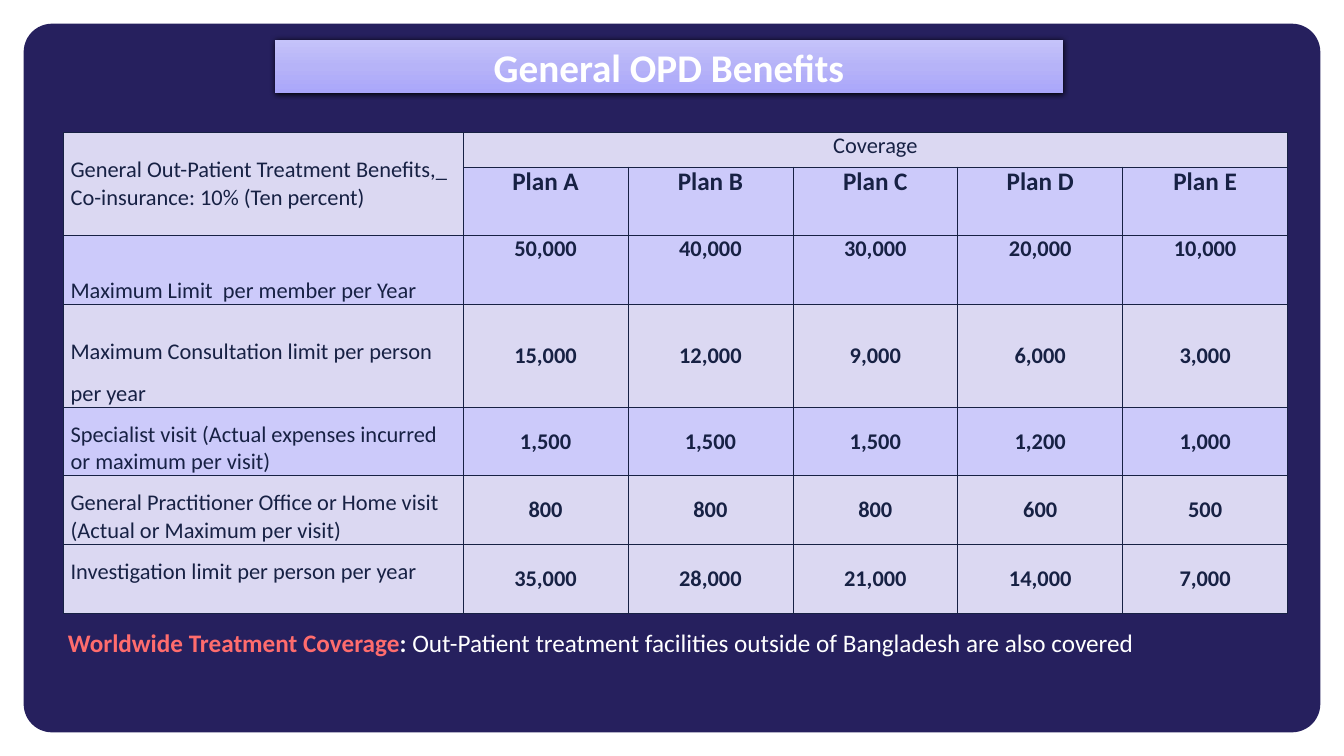
from copy import deepcopy
from lxml import etree
from pptx import Presentation
from pptx.dml.color import RGBColor
from pptx.enum.shapes import MSO_SHAPE
from pptx.enum.text import MSO_ANCHOR, MSO_AUTO_SIZE, PP_ALIGN
from pptx.oxml import parse_xml
from pptx.oxml.ns import nsdecls, qn
from pptx.util import Inches, Pt

NAVY, INK, WHITE, CORAL = "26205E", "172144", "FFFFFF", "FF6C6D"
PALE, LILAC = "DBD8F2", "CCCAFA"
TOP, MID, LOW = MSO_ANCHOR.TOP, MSO_ANCHOR.MIDDLE, MSO_ANCHOR.BOTTOM

PLANS = [f"Plan {name}" for name in "ABCDE"]
# label, amounts, fill, anchor of the amounts, format of the label
LIMITS = [
    ("Maximum Limit  per member per Year",
     "50,000 40,000 30,000 20,000 10,000", LILAC, TOP, {}),
    ("Maximum Consultation limit per person per year",
     "15,000 12,000 9,000 6,000 3,000", PALE, MID, {"line_spacing": 1.5}),
    ("Specialist visit (Actual expenses incurred or maximum per visit)",
     "1,500 1,500 1,500 1,200 1,000", LILAC, MID, {}),
    ("General Practitioner Office or Home visit (Actual or Maximum per visit)",
     "800 800 800 600 500", PALE, MID, {}),
    ("Investigation limit per person per year",
     "35,000 28,000 21,000 14,000 7,000", PALE, MID, {}),
]


def color(code):
    return RGBColor.from_string(code)


def assign(target, values):
    for name, value in values.items():
        setattr(target, name, value)


class Deck:
    """Holds the style and the current slide; lengths are percent of the slide."""

    font = "Calibri"

    def __init__(self, width, height):
        self.show = Presentation()
        self.show.slide_width = Inches(width)
        self.show.slide_height = Inches(height)
        self.slide = self.show.slides.add_slide(self.show.slide_layouts[6])

    def wide(self, share):
        return int(self.show.slide_width * share / 100)

    def high(self, share):
        return int(self.show.slide_height * share / 100)

    def box(self, x, y, w, h):
        return self.wide(x), self.high(y), self.wide(w), self.high(h)

    def label(self, frame, runs, **form):
        """Fill the first paragraph with (text, size, colour, bold) runs."""
        para = frame.paragraphs[0]
        assign(para, form)
        for text, size, shade, bold in runs:
            run = para.add_run()
            run.text = text
            assign(run.font, {"name": self.font, "size": Pt(size), "bold": bold})
            run.font.color.rgb = color(shade)

    def panel(self, kind, area, fill=None):
        shape = self.slide.shapes.add_shape(kind, *self.box(*area))
        shape.shadow.inherit = False
        shape.line.fill.background()
        if fill:
            shape.fill.solid()
            shape.fill.fore_color.rgb = color(fill)
        return shape

    def banner(self, area, text, shades):
        shape = self.panel(MSO_SHAPE.RECTANGLE, area)
        shape.fill.gradient()
        shape.fill.gradient_angle = 270
        props = shape._element.spPr
        stops = props.find(".//" + qn("a:gsLst"))
        stops.append(deepcopy(stops[0]))
        for i, (stop, shade) in enumerate(zip(shape.fill.gradient_stops, shades)):
            stop.position = i / (len(shades) - 1)
            stop.color.rgb = color(shade)
        props.find(qn("a:effectLst")).append(parse_xml(
            f'<a:outerShdw {nsdecls("a")} blurRad="{Pt(8.5)}" dist="{Pt(1)}" '
            'dir="5400000" rotWithShape="0"><a:srgbClr val="000000"/></a:outerShdw>'))
        shape.text_frame.vertical_anchor = LOW
        self.label(shape.text_frame, [(text, 56, WHITE, True)],
                   alignment=PP_ALIGN.CENTER, line_spacing=0.9)

    def note(self, area, runs):
        frame = self.slide.shapes.add_textbox(*self.box(*area)).text_frame
        assign(frame, {"word_wrap": True, "auto_size": MSO_AUTO_SIZE.SHAPE_TO_FIT_TEXT})
        self.label(frame, runs, alignment=PP_ALIGN.JUSTIFY,
                   space_before=Pt(6), space_after=Pt(6))

    def grid(self, x, y, cols, rows):
        area = self.box(x, y, sum(cols), sum(rows))
        table = self.slide.shapes.add_table(len(rows), len(cols), *area).table
        for col, share in zip(table.columns, cols):
            col.width = self.wide(share)
        for row, share in zip(table.rows, rows):
            row.height = self.high(share)
        for cell in table.iter_cells():
            self.edge(cell)
        return table

    def edge(self, cell):
        props = cell._tc.get_or_add_tcPr()
        for side in ("lnL", "lnR", "lnT", "lnB"):
            line = etree.SubElement(props, qn(f"a:{side}"), w=str(Pt(1)))
            fill = etree.SubElement(line, qn("a:solidFill"))
            etree.SubElement(fill, qn("a:srgbClr"), val=INK)

    def cell(self, cell, text, fill, anchor, head=False, size=32, bold=False, **form):
        side = Inches(0.15 if head else 0.01)
        assign(cell, {"margin_left": side, "margin_right": side, "margin_top": 0,
                      "margin_bottom": 0, "vertical_anchor": anchor})
        cell.fill.solid()
        cell.fill.fore_color.rgb = color(fill)
        align = PP_ALIGN.LEFT if head else PP_ALIGN.CENTER
        self.label(cell.text_frame, [(text, size, INK, bold)], alignment=align, **form)


def main():
    deck = Deck(26.67, 15)
    back = deck.panel(MSO_SHAPE.ROUNDED_RECTANGLE, (1.76, 3.13, 96.48, 93.74), NAVY)
    back.adjustments[0] = 0.04

    unit = 4.54
    table = deck.grid(4.69, 17.53, [29.77] + [12.27] * 5,
                      [unit * n for n in (1, 2, 2, 3, 2, 2, 2)])
    table.cell(0, 0).merge(table.cell(1, 0))
    table.cell(0, 1).merge(table.cell(0, 5))
    deck.cell(table.cell(0, 0), "General Out-Patient Treatment Benefits,_ "
              "Co-insurance: 10% (Ten percent)", PALE, MID, head=True)
    deck.cell(table.cell(0, 1), "Coverage", PALE, TOP)
    for c, plan in enumerate(PLANS, 1):
        deck.cell(table.cell(1, c), plan, LILAC, TOP, size=36, bold=True)
    for r, (limit, sums, fill, anchor, form) in enumerate(LIMITS, 2):
        deck.cell(table.cell(r, 0), limit, fill, LOW, head=True, **form)
        for c, amount in enumerate(sums.split(), 1):
            deck.cell(table.cell(r, c), amount, fill, anchor, bold=True)
    table.cell(6, 0).margin_bottom = Inches(0.54)

    deck.banner((20.47, 5.27, 58.61, 7.07), "General OPD Benefits",
                ["C5C3FA", "B6B3F8", "AAA6FA"])
    deck.note((4.69, 82.67, 86.8, 4.73), [
        ("Worldwide Treatment Coverage", 36, CORAL, True),
        (": ", 36, WHITE, True),
        ("Out-Patient treatment facilities outside of Bangladesh are also covered",
         36, WHITE, False),
    ])
    deck.show.save("out.pptx")


if __name__ == "__main__":
    main()
